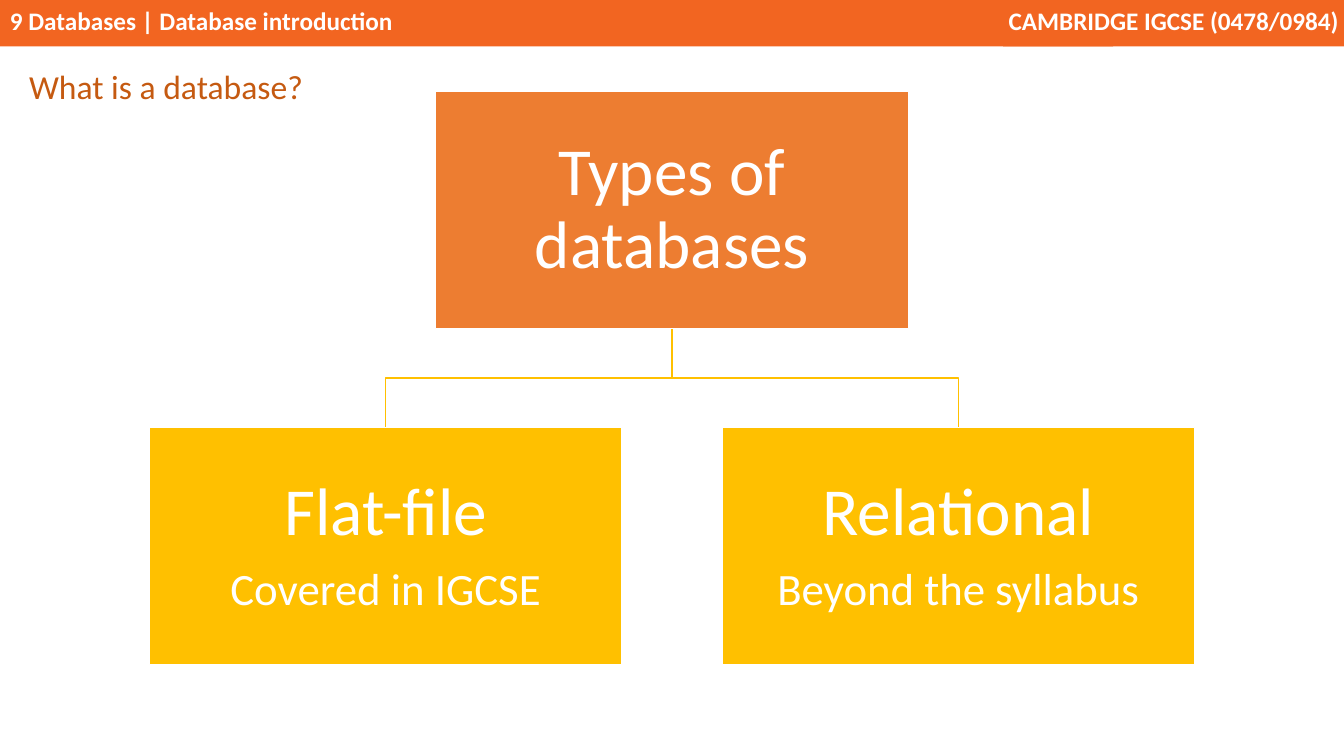
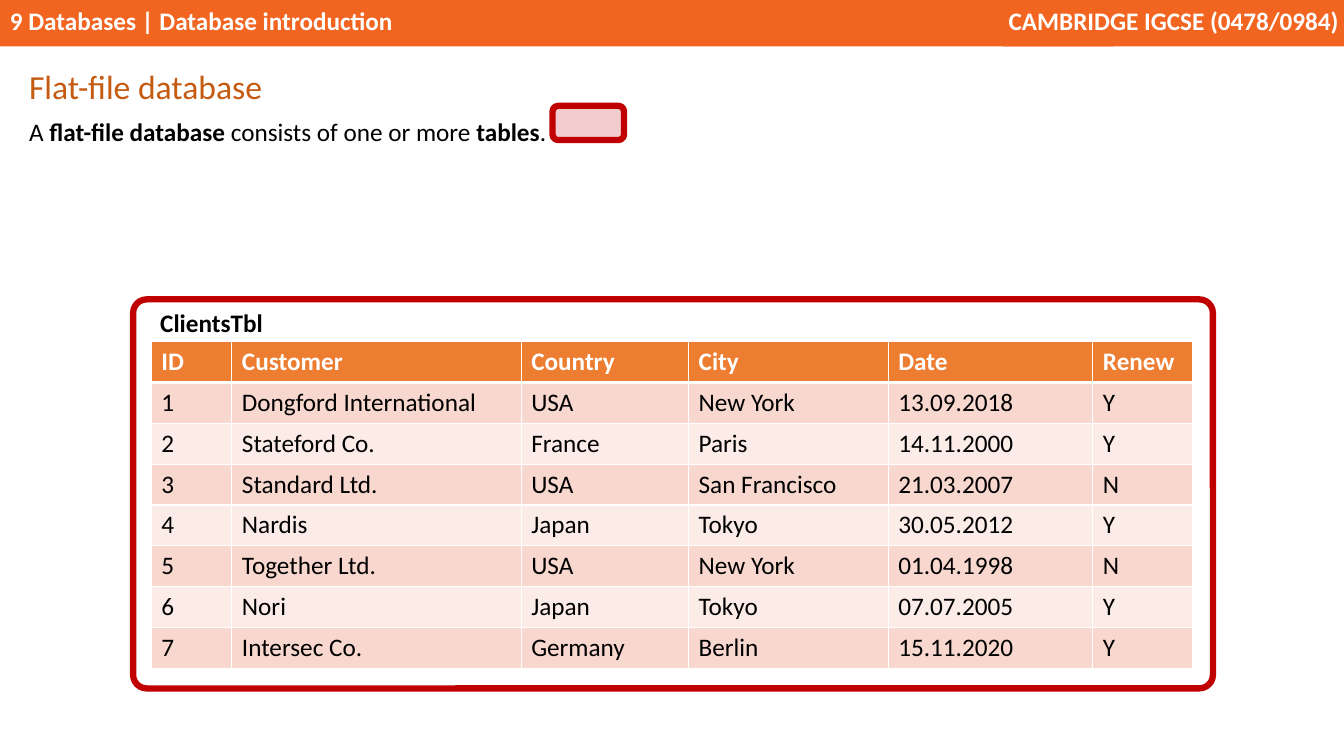
from lxml.etree import SubElement
from pptx import Presentation
from pptx.dml.color import RGBColor
from pptx.enum.shapes import MSO_SHAPE as SHAPE
from pptx.enum.text import MSO_ANCHOR as ANCHOR, PP_ALIGN as ALIGN
from pptx.oxml.ns import qn
from pptx.util import Inches, Pt

FONT = "Calibri"
WHITE, BLACK = "FFFFFF", "000000"
BAND, TITLE = "F26521", "C55A11"
ORANGE, GOLD, RED = "ED7D31", "FFC000", "C00000"
ROW_TINTS = ("F8D7CE", "FCECE8")

COLUMNS = {"ID": 0.8, "Customer": 2.87, "Country": 1.66,
           "City": 1.98, "Date": 2.03, "Renew": 0.99}
CLIENTS = [
    ("1", "Dongford International", "USA", "New York", "13.09.2018", "Y"),
    ("2", "Stateford Co.", "France", "Paris", "14.11.2000", "Y"),
    ("3", "Standard Ltd.", "USA", "San Francisco", "21.03.2007", "N"),
    ("4", "Nardis", "Japan", "Tokyo", "30.05.2012", "Y"),
    ("5", "Together Ltd.", "USA", "New York", "01.04.1998", "N"),
    ("6", "Nori", "Japan", "Tokyo", "07.07.2005", "Y"),
    ("7", "Intersec Co.", "Germany", "Berlin", "15.11.2020", "Y"),
]


def color(hex_code):
    """Turn a hex string into a colour."""
    return RGBColor.from_string(hex_code)


def style(run, size, hex_code, bold=False):
    """Format one run."""
    run.font.name = FONT
    run.font.size = Pt(size)
    run.font.bold = bold
    run.font.color.rgb = color(hex_code)


def paint(shape, fill=None, line=None, weight=1):
    """Set the fill and line of a shape and drop its shadow."""
    shape.shadow.inherit = False
    if fill:
        shape.fill.solid()
        shape.fill.fore_color.rgb = color(fill)
    else:
        shape.fill.background()
    if line:
        shape.line.color.rgb = color(line)
        shape.line.width = Pt(weight)
    else:
        shape.line.fill.background()


def box(slide, kind, left, top, width, height, fill=None, line=None, weight=1):
    """Draw a preset shape."""
    shape = slide.shapes.add_shape(
        kind, Inches(left), Inches(top), Inches(width), Inches(height))
    paint(shape, fill, line, weight)
    return shape


def text(slide, left, top, width, height, parts, size, hex_code):
    """Place one paragraph made of (wording, bold) parts."""
    frame = slide.shapes.add_textbox(
        Inches(left), Inches(top), Inches(width), Inches(height)).text_frame
    frame.word_wrap = True
    paragraph = frame.paragraphs[0]
    paragraph.line_spacing = 1.07
    for wording, bold in parts:
        run = paragraph.add_run()
        run.text = wording
        style(run, size, hex_code, bold)


def band(slide, left, width, wording, align, margin_left):
    """Draw one part of the header band."""
    part = box(slide, SHAPE.RECTANGLE, left, 0, width, 0.46, BAND)
    frame = part.text_frame
    frame.text = wording
    frame.vertical_anchor = ANCHOR.TOP
    frame.margin_left = Inches(margin_left)
    frame.margin_right = Inches(0.05)
    frame.paragraphs[0].alignment = align
    style(frame.paragraphs[0].runs[0], 18, WHITE, True)


def new_slide(deck, title):
    """Add a blank slide with the shared band and title."""
    slide = deck.slides.add_slide(deck.slide_layouts[6])
    band(slide, 0, 11.04, "9 Databases | Database introduction", ALIGN.LEFT, 0.1)
    band(slide, 9.95, 3.38, "CAMBRIDGE IGCSE (0478/0984)", ALIGN.RIGHT, 0)
    text(slide, 0.19, 0.58, 2.94, 0.51, [(title, False)], 24, TITLE)
    return slide


def node(slide, left, top, width, height, fill, heading, detail=None):
    """Draw one node of the tree with its heading and detail."""
    shape = box(slide, SHAPE.RECTANGLE, left, top, width, height, fill, WHITE)
    frame = shape.text_frame
    frame.text = f"{heading}\n{detail}" if detail else heading
    frame.word_wrap = True
    frame.vertical_anchor = ANCHOR.MIDDLE
    frame.margin_left = frame.margin_right = Inches(0.03)
    frame.margin_top = frame.margin_bottom = Inches(0.03)
    for paragraph, size in zip(frame.paragraphs, (48, 32)):
        paragraph.alignment = ALIGN.CENTER
        paragraph.line_spacing = 0.9
        style(paragraph.runs[0], size, WHITE)
    if detail:
        frame.paragraphs[0].space_after = Pt(12)


def branch(slide, x1, y1, x2, y2):
    """Draw a stepped line from a parent down to a child."""
    middle = (y1 + y2) / 2
    outline = slide.shapes.build_freeform(Inches(x1), Inches(y1))
    corners = [(x1, middle), (x2, middle), (x2, y2)]
    outline.add_line_segments([(Inches(x), Inches(y)) for x, y in corners], close=False)
    paint(outline.convert_to_shape(), line=GOLD)


def tree(slide, left, top, width, height, root, leaves):
    """Draw a root node above a row of joined leaves."""
    node_width, node_height = 4.69, 2.35
    step = (width - node_width) / (len(leaves) - 1)
    leaf_top = top + height - node_height
    leaf_lefts = [left + i * step for i in range(len(leaves))]
    for leaf_left in reversed(leaf_lefts):
        branch(slide, left + width / 2, top + node_height,
               leaf_left + node_width / 2, leaf_top)
    node(slide, left + (width - node_width) / 2, top, node_width, node_height, ORANGE, root)
    for leaf_left, leaf in zip(leaf_lefts, leaves):
        node(slide, leaf_left, leaf_top, node_width, node_height, GOLD, *leaf)


def borders(cell, bottom):
    """Give a cell white borders, with its own bottom weight."""
    properties = cell._tc.get_or_add_tcPr()
    for side, weight in (("L", 1), ("R", 1), ("T", 1), ("B", bottom)):
        edge = SubElement(properties, qn(f"a:ln{side}"), w=str(Pt(weight)))
        fill = SubElement(edge, qn("a:solidFill"))
        SubElement(fill, qn("a:srgbClr"), val=WHITE)


def clients_table(slide, left, top, height):
    """Draw the table of clients."""
    rows = [tuple(COLUMNS), *CLIENTS]
    table = slide.shapes.add_table(
        len(rows), len(COLUMNS), Inches(left), Inches(top),
        Inches(sum(COLUMNS.values())), Inches(height)).table
    for column, width in zip(table.columns, COLUMNS.values()):
        column.width = Inches(width)
    for r, values in enumerate(rows):
        header = r == 0
        for c, value in enumerate(values):
            cell = table.cell(r, c)
            borders(cell, 3 if header else 1)
            cell.fill.solid()
            cell.fill.fore_color.rgb = color(ORANGE if header else ROW_TINTS[(r - 1) % 2])
            cell.text = value
            style(cell.text_frame.paragraphs[0].runs[0], 18,
                  WHITE if header else BLACK, header)


def framed_clients(slide, left, top, width, height):
    """Draw the named table inside a red frame."""
    clients_table(slide, left + 0.18, top + 0.42, 3.24)
    text(slide, left + 0.17, top + 0.01, 1.22, 0.41, [("ClientsTbl", True)], 18, BLACK)
    frame = box(slide, SHAPE.ROUNDED_RECTANGLE, left, top, width, height, line=RED, weight=4.5)
    frame.adjustments[0] = 0.035


def types_slide(deck):
    """Build the slide on the types of databases."""
    slide = new_slide(deck, "What is a database?")
    tree(slide, 1.48, 0.91, 10.37, 5.68, "Types of databases",
         [("Flat-file", "Covered in IGCSE"), ("Relational", "Beyond the syllabus")])


def flat_file_slide(deck):
    """Build the slide on flat-file databases."""
    slide = new_slide(deck, "Flat-file database")
    definition = [("A ", False), ("flat-file database", True),
                  (" consists of one or more ", False), ("tables", True), (".", False)]
    text(slide, 0.19, 1.08, 12.58, 0.41, definition, 18, BLACK)
    framed_clients(slide, 1.32, 2.97, 10.71, 3.86)
    key = box(slide, SHAPE.ROUNDED_RECTANGLE, 5.48, 1.05, 0.71, 0.34, RED, RED, 4.5)
    tint = key.element.spPr.find(f"{qn('a:solidFill')}/{qn('a:srgbClr')}")
    SubElement(tint, qn("a:alpha"), val="20000")


def main():
    """Build and save the deck."""
    deck = Presentation()
    deck.slide_width, deck.slide_height = Inches(13.33), Inches(7.5)
    types_slide(deck)
    flat_file_slide(deck)
    deck.save("out.pptx")


if __name__ == "__main__":
    main()
